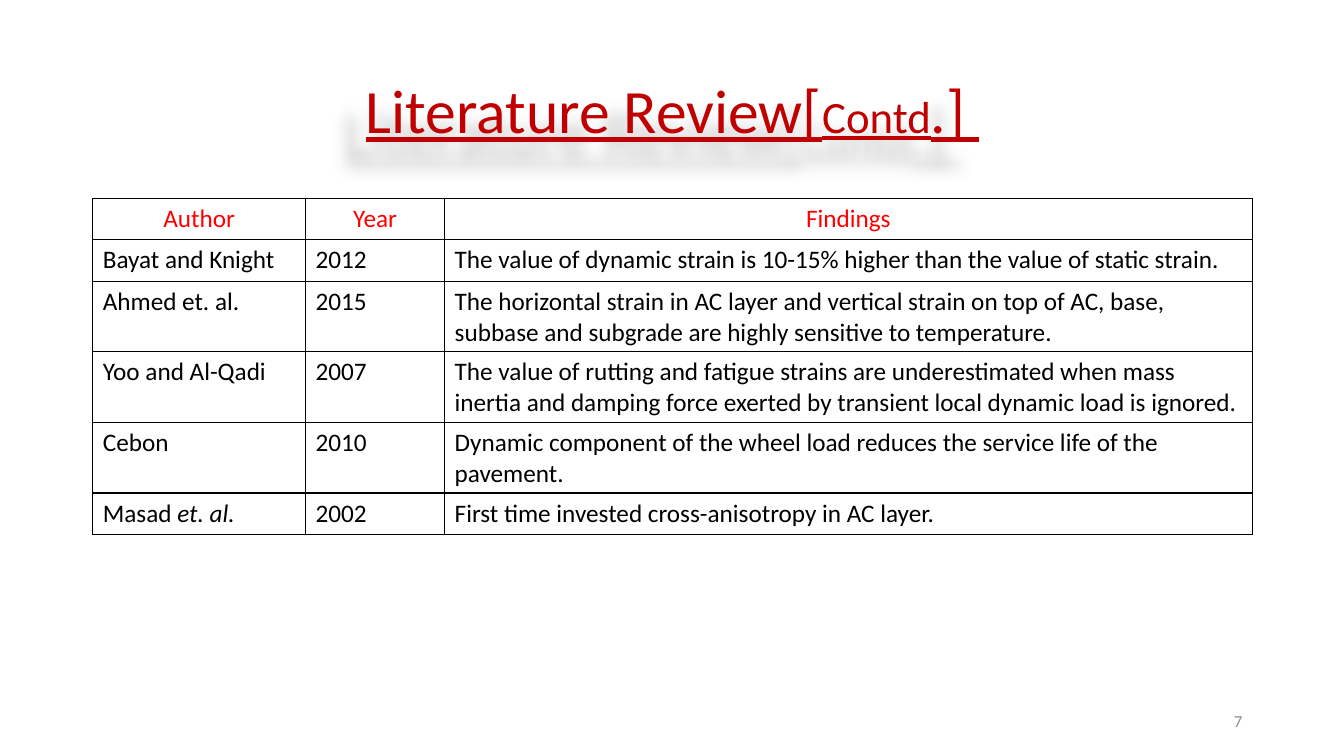
import pptx
import pptx.dml.color
import pptx.enum.text
import pptx.oxml
import pptx.oxml.ns
import pptx.util
from pptx.util import Inches

COLORS = {"title": "C00000", "header": "FF0000", "body": "000000", "number": "8C8C8C"}
ALIGN = pptx.enum.text.PP_ALIGN
FINDINGS = [
    ("Author", "Year", "Findings"),
    ("Bayat and Knight", "2012",
     "The value of dynamic strain is 10-15% higher than the value of static strain."),
    ("Ahmed et. al.", "2015",
     "The horizontal strain in AC layer and vertical strain on top of AC, base, "
     "subbase and subgrade are highly sensitive to temperature."),
    ("Yoo and Al-Qadi", "2007",
     "The value of rutting and fatigue strains are underestimated when mass "
     "inertia and damping force exerted by transient local dynamic load is ignored."),
    ("Cebon", "2010",
     "Dynamic component of the wheel load reduces the service life of the pavement."),
    ("Masad ", "2002", "First time invested cross-anisotropy in AC layer."),
]


def drawing_xml(tag, attributes, inner):
    return pptx.oxml.parse_xml(
        f'<a:{tag} {pptx.oxml.ns.nsdecls("a")} {attributes}>{inner}</a:{tag}>')


def style(run, size, color):
    run.font.name = "Calibri"
    run.font.size = pptx.util.Pt(size)
    run.font.color.rgb = pptx.dml.color.RGBColor.from_string(COLORS[color])


def add_text(slide, left, top, width, height, pieces, color, align):
    box = slide.shapes.add_textbox(
        Inches(left), Inches(top), Inches(width), Inches(height))
    box.text_frame.word_wrap = True
    box.text_frame.vertical_anchor = pptx.enum.text.MSO_ANCHOR.MIDDLE
    paragraph = box.text_frame.paragraphs[0]
    paragraph.alignment = align
    for words, size in pieces:
        run = paragraph.add_run()
        run.text = words
        style(run, size, color)
    return box


def add_title(slide, left, top, width, height):
    pieces = [("Literature Review[", 44), ("Contd", 32), (".] ", 44)]
    title = add_text(slide, left, top, width, height, pieces, "title", ALIGN.CENTER)
    heading = title.text_frame.paragraphs[0]
    heading.line_spacing = 0.9
    for run in heading.runs:
        run.font.underline = True
    shadow = (f'<a:outerShdw blurRad="{Inches(0.16)}" dist="{Inches(0.3)}" dir="8100000" '
              'algn="ctr" rotWithShape="0"><a:srgbClr val="000000">'
              '<a:alpha val="28000"/></a:srgbClr></a:outerShdw>')
    title.element.spPr.append(drawing_xml("effectLst", "", shadow))


def add_borders(cell):
    line = f'<a:solidFill><a:srgbClr val="{COLORS["body"]}"/></a:solidFill>'
    properties = cell._tc.get_or_add_tcPr()
    for position, side in enumerate(("lnL", "lnR", "lnT", "lnB")):
        properties.insert(position, drawing_xml(side, f'w="{pptx.util.Pt(1)}"', line))


def add_findings(slide, left, top, width, row_height):
    frame = slide.shapes.add_table(
        len(FINDINGS), 3, Inches(left), Inches(top),
        Inches(width), Inches(row_height * len(FINDINGS)))
    table = frame.table
    table.first_row = table.horz_banding = False
    author_width, year_width = 2.11, 1.38
    widths = (author_width, year_width, width - author_width - year_width)
    for column, column_width in zip(table.columns, widths):
        column.width = Inches(column_width)
    for row_index, entry in enumerate(FINDINGS):
        table.rows[row_index].height = Inches(row_height)
        for column_index, words in enumerate(entry):
            cell = table.cell(row_index, column_index)
            cell.fill.background()
            add_borders(cell)
            paragraph = cell.text_frame.paragraphs[0]
            paragraph.text = words
            paragraph.alignment = ALIGN.LEFT if row_index else ALIGN.CENTER
            if words == "Masad ":
                suffix = paragraph.add_run()
                suffix.text = "et. al. "
                suffix.font.italic = True
            for run in paragraph.runs:
                style(run, 18, "body" if row_index else "header")


def build_review_slide(deck):
    slide = deck.slides.add_slide(deck.slide_layouts[6])
    add_title(slide, 0.92, 0.4, 11.5, 1.45)
    add_text(slide, 9.42, 6.95, 3, 0.4, [("7", 12)], "number", ALIGN.RIGHT)
    add_findings(slide, 0.92, 1.97, 11.5, 0.41)


deck = pptx.Presentation()
deck.slide_width, deck.slide_height = Inches(13.33), Inches(7.5)
build_review_slide(deck)
deck.save("out.pptx")
